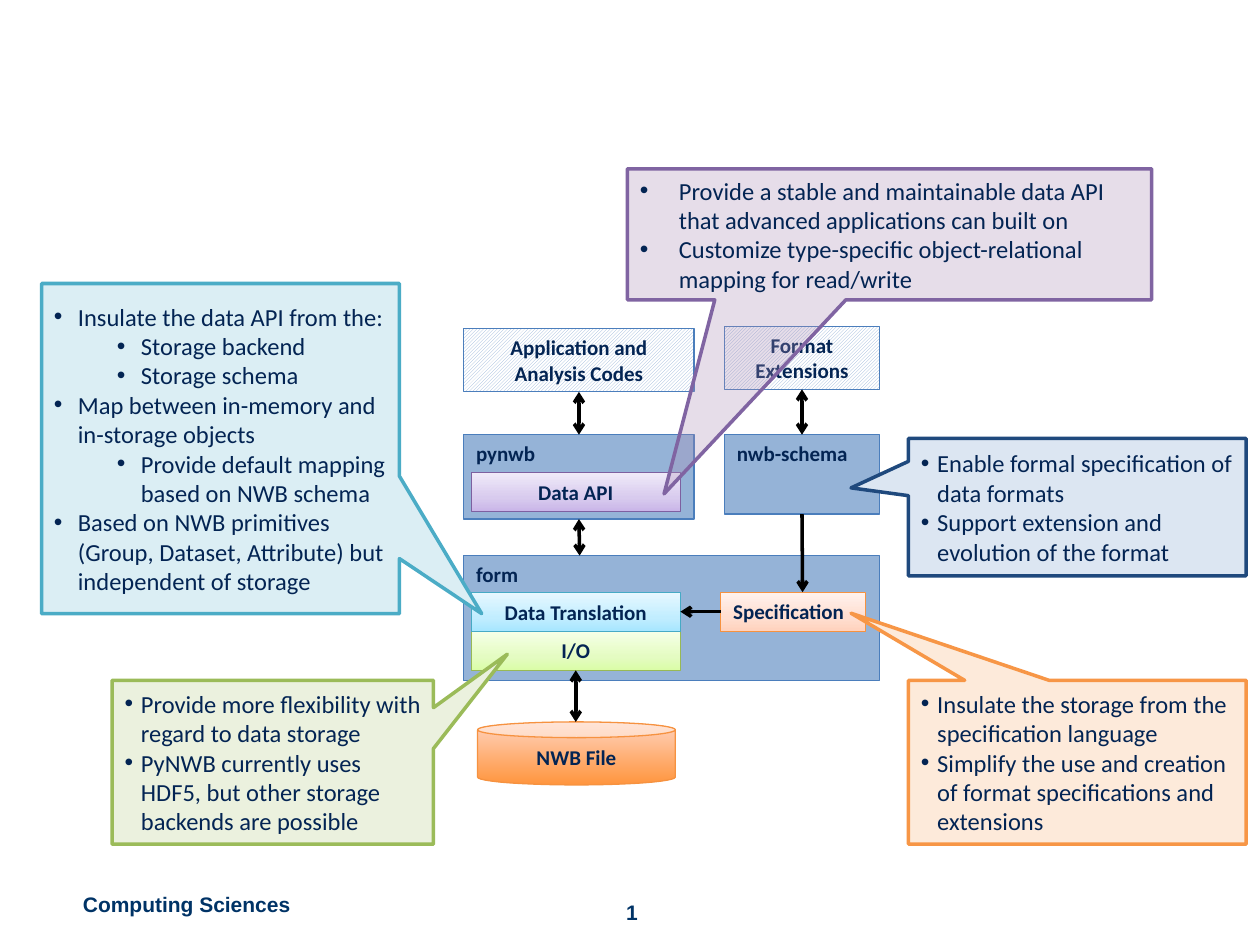
from copy import deepcopy
from dataclasses import dataclass

from pptx import Presentation
from pptx.dml.color import RGBColor
from pptx.enum.dml import MSO_PATTERN
from pptx.enum.shapes import MSO_CONNECTOR, MSO_SHAPE
from pptx.enum.text import MSO_ANCHOR, MSO_AUTO_SIZE, PP_ALIGN
from pptx.oxml.ns import qn
from pptx.util import Inches, Pt

RECT, CAN, CALLOUT = MSO_SHAPE.RECTANGLE, MSO_SHAPE.CAN, MSO_SHAPE.RECTANGULAR_CALLOUT
STRAIGHT = MSO_CONNECTOR.STRAIGHT
HATCH = MSO_PATTERN.LIGHT_UPWARD_DIAGONAL
LEFT, CENTER = PP_ALIGN.LEFT, PP_ALIGN.CENTER
TOP, MIDDLE, BOTTOM = MSO_ANCHOR.TOP, MSO_ANCHOR.MIDDLE, MSO_ANCHOR.BOTTOM
FIT_SHAPE = MSO_AUTO_SIZE.SHAPE_TO_FIT_TEXT
SIDE_TOP, SIDE_LEFT, SIDE_BOTTOM, SIDE_RIGHT = range(4)


@dataclass(frozen=True)
class Theme:
    body_font: str = "Calibri"
    footer_font: str = "Arial"
    label_size: int = 12
    note_size: int = 14
    thin: float = 0.75
    thick: float = 2
    ink: str = "032453"
    footer: str = "003366"
    arrow: str = "000000"
    paper: str = "FFFFFF"
    module: str = "95B3D7"
    module_edge: str = "4B7EBC"
    # Gradients run from the bottom edge up: (share, colour)
    purple: tuple = ((0, "C9B5E8"), (0.35, "D8CBEE"), (1, "F0EAF9"))
    blue: tuple = ((0, "A7E6FF"), (0.35, "C1EDFF"), (1, "E7F8FF"))
    green: tuple = ((0, "DAFDA7"), (0.35, "E4FCC2"), (1, "F5FFE7"))
    orange: tuple = ((0, "FFD2BD"), (0.35, "FFDED0"), (1, "FFF2ED"))
    storage: tuple = ((0, "FF953E"), (1, "FFD2BD"))


THEME = Theme()

# Grid in inches: columns are (left, width), rows are (top, height)
COLS = {
    "code": (3.68, 1.83), "schema": (5.75, 1.23), "all": (3.68, 3.3),
    "layer": (3.74, 1.66), "spec": (5.72, 1.15), "file": (3.79, 1.57),
    "far left": (0.33, 2.84), "left": (0.89, 2.55),
    "right": (7.21, 2.68), "upper": (4.98, 4.16),
    "footer": (0.56, 1.87), "number": (3.85, 2.33),
}
ROWS = {
    "apps": (2.61, 0.5), "extensions": (2.59, 0.5),
    "pynwb": (3.45, 0.67), "schema": (3.45, 0.63), "form": (4.41, 0.99),
    "api": (3.75, 0.31), "translation": (4.7, 0.31), "io": (5.01, 0.31),
    "file": (5.73, 0.5),
    "mapping": (2.25, 2.62), "upper": (1.34, 1.04),
    "middle": (3.48, 1.09), "lower": (5.4, 1.3),
    "footer": (7.03, 0.3), "number": (6.99, 0.4),
}


def rgb(colour):
    return RGBColor.from_string(colour)


def cell(col, row):
    (left, width), (top, height) = COLS[col], ROWS[row]
    return [Inches(v) for v in (left, top, width, height)]


def style_text(frame, font, size, colour, bold, align, anchor):
    frame.vertical_anchor = anchor
    for paragraph in frame.paragraphs:
        paragraph.alignment = align
        for run in paragraph.runs:
            run.font.name, run.font.size, run.font.bold = font, Pt(size), bold
            run.font.color.rgb = rgb(colour)


def fill_gradient(fill, stops):
    fill.gradient()
    fill.gradient_angle = 90
    first = fill.gradient_stops[0]._gs
    for _ in range(len(stops) - 2):
        first.addnext(deepcopy(first))
    for stop, (share, colour) in zip(fill.gradient_stops, stops):
        stop.position = share
        stop.color.rgb = rgb(colour)


def fill_hatch(fill):
    fill.patterned()
    fill.pattern = HATCH
    fill.fore_color.rgb = rgb(THEME.module)
    fill.back_color.rgb = rgb(THEME.paper)


def fill_solid(fill, colour):
    fill.solid()
    fill.fore_color.rgb = rgb(colour)


def add_outlined(slide, kind, place, edge, width):
    shape = slide.shapes.add_shape(kind, *place)
    shape.shadow.inherit = False
    shape.line.color.rgb = rgb(edge)
    shape.line.width = Pt(width)
    shape.text_frame.word_wrap = True
    return shape


def add_part(slide, label, place, paint, edge=THEME.module_edge,
             align=CENTER, anchor=TOP, kind=RECT):
    part = add_outlined(slide, kind, place, edge, THEME.thin)
    if paint == HATCH:
        fill_hatch(part.fill)
    elif isinstance(paint, tuple):
        fill_gradient(part.fill, paint)
    else:
        fill_solid(part.fill, paint)
    part.text_frame.text = label
    style_text(part.text_frame, THEME.body_font, THEME.label_size, THEME.ink,
               True, align, anchor)
    return part


def add_note(slide, place, tip, colour, edge, hang, points, opacity=None):
    """Callout with bullets; each point is (level, text)."""
    note = add_outlined(slide, CALLOUT, place, edge, THEME.thick)
    note.adjustments[0], note.adjustments[1] = tip
    fill_solid(note.fill, colour)
    if opacity:
        tint = note.fill._xPr.find(f".//{qn('a:srgbClr')}")
        tint.makeelement(qn("a:alpha"))
        alpha = tint.makeelement(qn("a:alpha"), {"val": str(int(opacity * 100000))})
        tint.append(alpha)
    frame = note.text_frame
    frame.text = "\n".join(text for _, text in points)
    style_text(frame, THEME.body_font, THEME.note_size, THEME.ink, False, LEFT, MIDDLE)
    for paragraph, (level, _) in zip(frame.paragraphs, points):
        paragraph.level = level
        props = paragraph._p.get_or_add_pPr()
        props.set("marL", str(Inches(hang + 0.5 * level)))
        props.set("indent", str(-Inches(hang)))
        props.append(props.makeelement(qn("a:buFont"), {"typeface": "Arial"}))
        props.append(props.makeelement(qn("a:buChar"), {"char": "•"}))


def add_arrow(slide, start, end, source=None, target=None, both=True):
    """Arrow between two points; source and target are (part, side) joints."""
    arrow = slide.shapes.add_connector(STRAIGHT, *(Inches(v) for v in start + end))
    if source:
        arrow.begin_connect(*source)
    if target:
        arrow.end_connect(*target)
    arrow.line.color.rgb = rgb(THEME.arrow)
    arrow.line.width = Pt(THEME.thick)
    line = arrow.line._get_or_add_ln()
    for tag in ("a:headEnd", "a:tailEnd") if both else ("a:tailEnd",):
        line.append(line.makeelement(qn(tag), {"type": "arrow"}))
    props = arrow._element.spPr
    props.append(props.makeelement(qn("a:effectLst")))


def add_footer(slide, text, place, align, anchor, wrap):
    frame = slide.shapes.add_textbox(*place).text_frame
    frame.word_wrap = wrap
    if not wrap:
        frame.auto_size = FIT_SHAPE
    frame.text = text
    style_text(frame, THEME.footer_font, THEME.label_size, THEME.footer,
               True, align, anchor)


def add_architecture(slide):
    # Modules and the layers inside them
    add_part(slide, "form", cell("all", "form"), THEME.module, align=LEFT)
    pynwb = add_part(slide, "pynwb", cell("code", "pynwb"), THEME.module, align=LEFT)
    schema = add_part(slide, "nwb-schema", cell("schema", "schema"), THEME.module, align=LEFT)
    spec = add_part(slide, "Specification", cell("spec", "translation"),
                    THEME.orange, "F69240", LEFT)
    storage_io = add_part(slide, "I/O", cell("layer", "io"), THEME.green, "98B955")
    add_part(slide, "Data API", cell("layer", "api"), THEME.purple, "7D60A0", anchor=MIDDLE)
    translation = add_part(slide, "Data Translation", cell("layer", "translation"),
                           THEME.blue, "46AAC5", anchor=MIDDLE)
    # Users of the modules, and the file
    add_part(slide, "NWB File", cell("file", "file"), THEME.storage, "F69240",
             anchor=MIDDLE, kind=CAN)
    apps = add_part(slide, "Application and Analysis Codes", cell("code", "apps"), HATCH)
    extensions = add_part(slide, "Format Extensions", cell("schema", "extensions"), HATCH)
    # Data flow
    add_arrow(slide, (4.6, 3.45), (4.6, 3.11), (pynwb, SIDE_TOP), (apps, SIDE_BOTTOM))
    add_arrow(slide, (6.37, 3.45), (6.37, 3.09), (schema, SIDE_TOP), (extensions, SIDE_BOTTOM))
    add_arrow(slide, (4.6, 4.41), (4.6, 4.12), target=(pynwb, SIDE_BOTTOM))
    add_arrow(slide, (4.57, 5.73), (4.57, 5.32), target=(storage_io, SIDE_BOTTOM))
    add_arrow(slide, (6.37, 4.08), (6.37, 4.7), (schema, SIDE_BOTTOM), both=False)
    add_arrow(slide, (5.72, 4.86), (5.4, 4.86), (spec, SIDE_LEFT),
              (translation, SIDE_RIGHT), both=False)


def add_notes_around(slide):
    add_note(slide, cell("far left", "mapping"), (0.73, 0.5), "DBEEF4", "4BACC6", 0.19, [
        (0, "Insulate the data API from the:"),
        (1, "Storage backend"),
        (1, "Storage schema"),
        (0, "Map between in-memory and in-storage objects"),
        (1, "Provide default mapping based on NWB schema"),
        (0, "Based on NWB primitives (Group, Dataset, Attribute) but independent of storage")])
    add_note(slide, cell("left", "lower"), (0.73, -0.66), "EBF1DE", "9BBB59", 0.13, [
        (0, "Provide more flexibility with regard to data storage"),
        (0, "PyNWB currently uses HDF5, but other storage backends are possible")])
    add_note(slide, cell("right", "lower"), (-0.67, -0.91), "FDEADA", "F79646", 0.13, [
        (0, "Insulate the storage from the specification language"),
        (0, "Simplify the use and creation of format specifications and extensions")])
    add_note(slide, cell("right", "middle"), (-0.67, -0.14), "DCE6F2", "1F497D", 0.13, [
        (0, "Enable formal specification of data formats"),
        (0, "Support extension and evolution of the format")])
    add_note(slide, cell("upper", "upper"), (-0.43, 1.98), "AA8AB4", "8064A2", 0.31, [
        (0, "Provide a stable and maintainable data API that advanced applications can built on"),
        (0, "Customize type-specific object-relational mapping for read/write")], opacity=0.29)


def main():
    deck = Presentation()
    deck.slide_width, deck.slide_height = Inches(10), Inches(7.5)
    slide = deck.slides.add_slide(deck.slide_layouts[6])
    add_footer(slide, "Computing Sciences", cell("footer", "footer"), LEFT, TOP, False)
    add_footer(slide, "1", cell("number", "number"), CENTER, BOTTOM, True)
    add_architecture(slide)
    add_notes_around(slide)
    deck.save("out.pptx")


if __name__ == "__main__":
    main()
